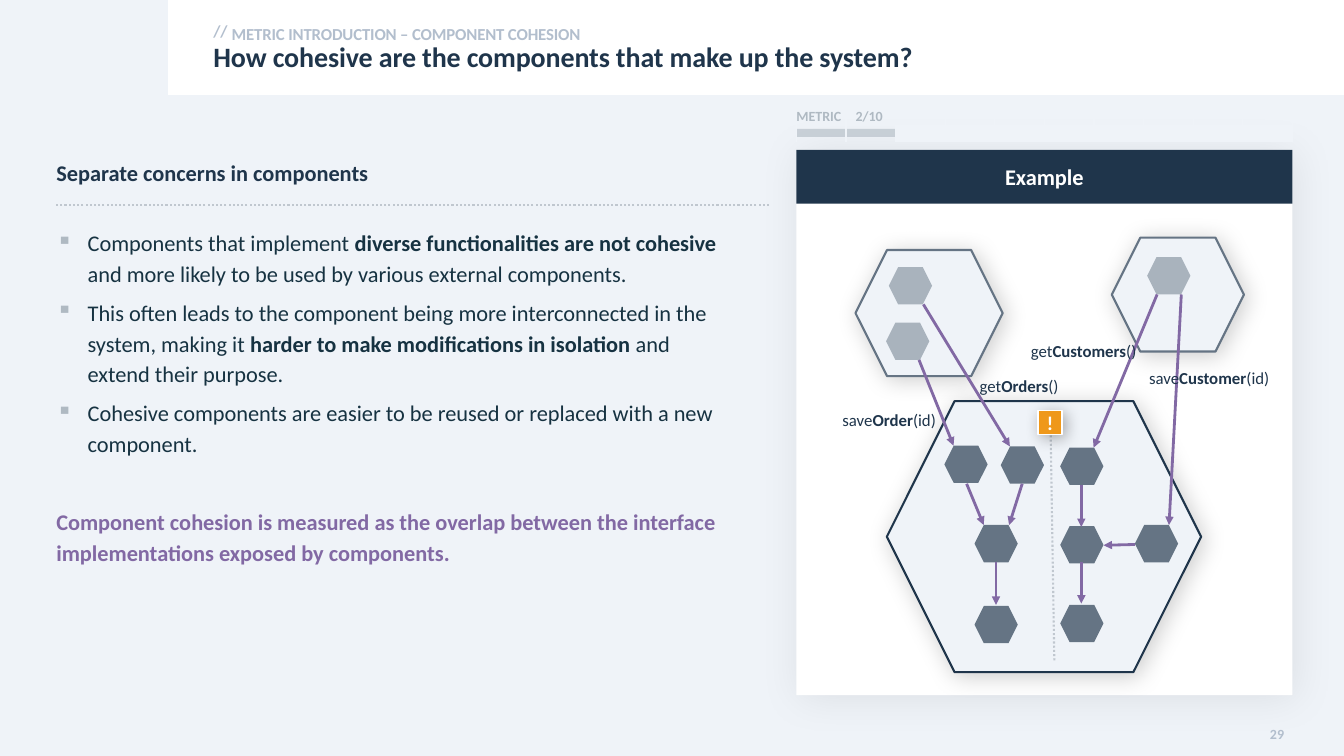
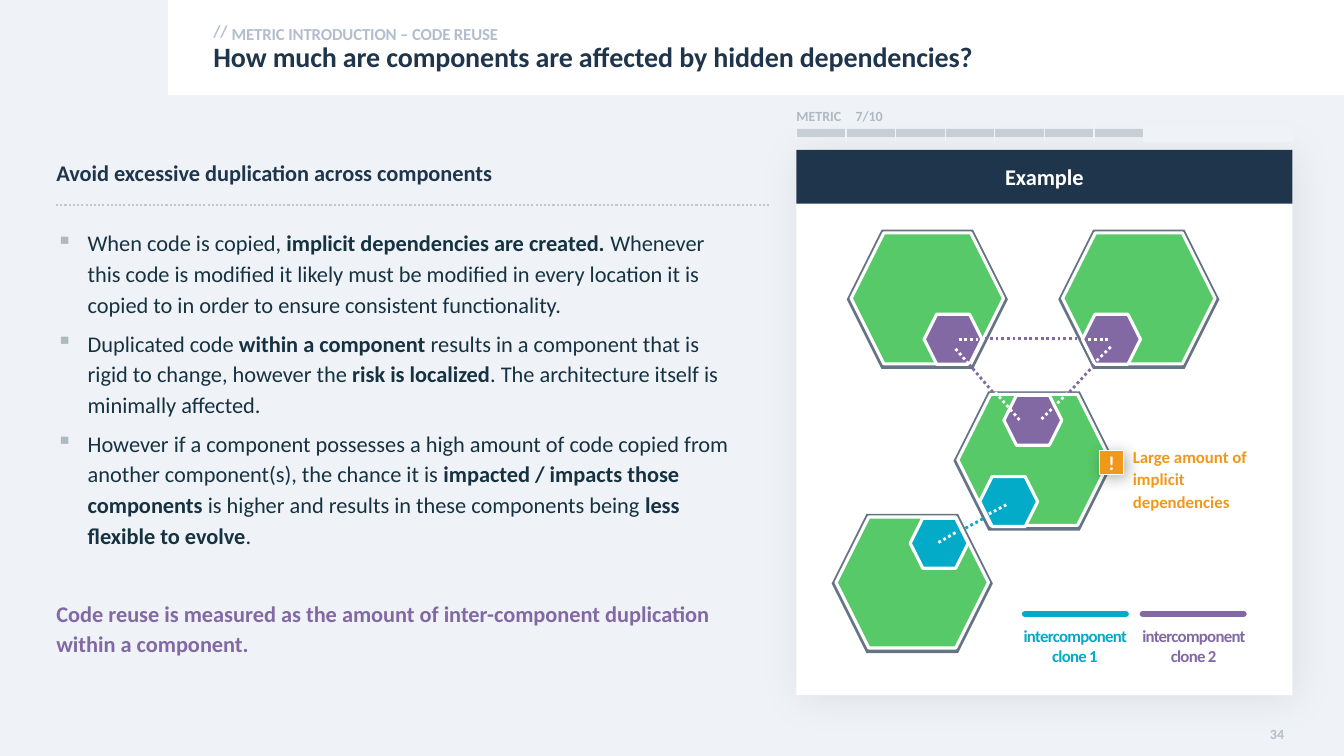
from lxml import etree
from pptx import Presentation
from pptx.dml.color import RGBColor
from pptx.enum.dml import MSO_LINE
from pptx.enum.shapes import MSO_CONNECTOR, MSO_SHAPE
from pptx.enum.text import PP_ALIGN
from pptx.oxml.ns import qn
from pptx.util import Cm, Pt

HEXAGON, RECTANGLE = MSO_SHAPE.HEXAGON, MSO_SHAPE.RECTANGLE
STRAIGHT, DOTTED = MSO_CONNECTOR.STRAIGHT, MSO_LINE.ROUND_DOT
LEFT, CENTER, RIGHT = PP_ALIGN.LEFT, PP_ALIGN.CENTER, PP_ALIGN.RIGHT

FONT = "Calibri"
HEX = {
    "page": "EFF3F8", "white": "FFFFFF", "navy": "1F354B", "ink": "163241",
    "pale": "B2BECD", "grey": "AFB9C2", "rule": "C0C7CF", "slate": "657484",
    "purple": "8269A4", "teal": "04ABC8", "green": "57C968",
    "orange": "EF981A", "black": "000000",
}
COLORS = {name: RGBColor.from_string(value) for name, value in HEX.items()}

CARD_LEFT, CARD_TOP, CARD_WIDTH = 20.07, 3.78, 12.5
STEPS = 10
CARD_SHADOW, HEXAGON_SHADOW, BADGE_SHADOW = (7, 30), (20, 17), (30, 11)


def write(frame, text, size=16, color="navy", bold=False, align=LEFT,
          spacing=1, before=0, after=0, track=0, bullet=False):
    frame.margin_left = frame.margin_top = 0
    frame.margin_right = frame.margin_bottom = 0
    frame.word_wrap = True
    paragraph = frame.add_paragraph() if frame.text else frame.paragraphs[0]
    if bullet:
        properties = paragraph._p.get_or_add_pPr()
        properties.set("marL", str(Cm(0.79)))
        properties.set("indent", str(-Cm(0.79)))
        tint = etree.SubElement(properties, qn("a:buClr"))
        etree.SubElement(tint, qn("a:srgbClr"), val=HEX["grey"])
        etree.SubElement(properties, qn("a:buChar"), char="▪")
    paragraph.alignment = align
    paragraph.line_spacing = spacing
    paragraph.space_before, paragraph.space_after = Pt(before), Pt(after)
    for index, part in enumerate(text.split("*")):
        if part:
            run = paragraph.add_run()
            run.text = part
            run.font.name, run.font.size = FONT, Pt(size)
            run.font.bold = bold or index % 2 == 1
            run.font.color.rgb = COLORS[color]
            if track:
                run._r.get_or_add_rPr().set("spc", str(round(track * 100)))


def draw(slide, kind, place, fill, line=None, weight=1.5, opacity=100, shadow=None):
    shape = slide.shapes.add_shape(kind, *map(Cm, place))
    shape.fill.solid()
    shape.fill.fore_color.rgb = COLORS[fill]
    properties = shape._element.spPr
    if opacity < 100:
        tint = properties.find(qn("a:solidFill"))[0]
        etree.SubElement(tint, qn("a:alpha"), val=str(opacity * 1000))
    if line:
        shape.line.color.rgb = COLORS[line]
        shape.line.width = Pt(weight)
    else:
        shape.line.fill.background()
    shape.shadow.inherit = False
    if shadow:
        strength, blur = shadow
        outer = etree.SubElement(
            properties.find(qn("a:effectLst")), qn("a:outerShdw"),
            blurRad=str(Pt(blur)), dist=str(Pt(3)), dir="2700000",
            algn="tl", rotWithShape="0")
        tint = etree.SubElement(outer, qn("a:srgbClr"), val=HEX["black"])
        etree.SubElement(tint, qn("a:alpha"), val=str(strength * 1000))
    return shape


system = dict(fill="page", line="slate", shadow=HEXAGON_SHADOW)
caller = dict(fill="slate", opacity=50)
module = dict(fill="slate")
cohesion_hexagons = [
    ((28.02, 5.99, 3.33, 2.87), system),
    ((21.56, 6.3, 3.71, 3.18), system),
    ((22.35, 10.11, 7.92, 6.83), {**system, "line": "navy"}),
]
for style, corners in (
    (module, [(23.8, 11.23), (25.22, 11.25), (24.56, 13.23), (24.56, 15.27),
              (28.6, 13.23), (26.72, 13.26), (26.72, 15.24), (26.72, 11.28)]),
    (caller, [(22.4, 6.73), (22.33, 8.13), (28.91, 6.48)]),
):
    cohesion_hexagons += [((*corner, 1.09, 0.94), style) for corner in corners]

reuse_hexagons = []
for left, top in [(21.34, 5.79), (26.67, 5.79), (24.03, 9.86), (20.96, 12.95)]:
    reuse_hexagons += [
        ((left, top, 4.06, 3.51), dict(fill="slate")),
        ((left + 0.11, top + 0.08, 3.84, 3.3),
         dict(fill="green", line="white", weight=2.25)),
    ]
for color, corners in (
    ("teal", [(24.69, 12.01), (22.94, 13.06)]),
    ("purple", [(23.29, 7.92), (27.28, 7.92), (25.3, 9.96)]),
):
    reuse_hexagons += [((*corner, 1.46, 1.26),
                        dict(fill=color, line="white", weight=2.25))
                       for corner in corners]

label = dict(size=12, spacing=1.13)
legend = dict(size=12, bold=True, align=CENTER, track=-0.5)
topics = [
    dict(
        number="29", step=2,
        section="METRIC INTRODUCTION – COMPONENT COHESION",
        title="How cohesive are the components that make up the system?",
        heading="Separate concerns in components",
        bullets=[
            "Components that implement *diverse functionalities are not cohesive* "
            "and more likely to be used by various external components.",
            "This often leads to the component being more interconnected in the "
            "system, making it *harder to make modifications in isolation* and "
            "extend their purpose.",
            "Cohesive components are easier to be reused or replaced with a new "
            "component.",
        ],
        summary="Component cohesion is measured as the overlap between the "
                "interface implementations exposed by components.",
        hexagons=cohesion_hexagons,
        links=[
            ("purple", 2, "arrow", [
                (24.36, 12.19, 24.79, 13.23), (25.1, 14.15, 25.1, 15.24),
                (25.76, 12.19, 25.43, 13.23), (23.16, 9.07, 24.03, 11.23),
                (23.27, 7.67, 25.45, 11.25), (27.25, 14.17, 27.25, 15.21),
                (27.25, 12.22, 27.25, 13.28), (28.6, 13.72, 27.81, 13.74),
                (29.16, 7.42, 27.56, 11.28), (29.77, 7.42, 29.46, 13.23)]),
            ("rule", 1.5, "dots", [(26.47, 10.44, 26.57, 16.64)]),
        ],
        badge=(26.16, 10.34),
        labels=[
            ("get*Orders*()", (24.69, 9.4, 3.2, 0.56), label),
            ("save*Order*(id)", (21.23, 10.26, 3.2, 0.56), label),
            ("get*Customers*()", (25.98, 8.51, 3.2, 0.56), label),
            ("save*Customer*(id)", (28.96, 9.19, 3.2, 0.56), label),
        ],
    ),
    dict(
        number="34", step=7,
        section="METRIC INTRODUCTION – CODE REUSE",
        title="How much are components are affected by hidden dependencies?",
        heading="Avoid excessive duplication across components",
        bullets=[
            "When code is copied, *implicit dependencies are created.* Whenever "
            "this code is modified it likely must be modified in every location "
            "it is copied to in order to ensure consistent functionality.",
            "Duplicated code *within a component* results in a component that is "
            "rigid to change, however the *risk is localized*. The architecture "
            "itself is minimally affected.",
            "However if a component possesses a high amount of code copied from "
            "another component(s), the chance it is *impacted / impacts those "
            "components* is higher and results in these components being *less "
            "flexible to evolve*.",
        ],
        summary="Code reuse is measured as the amount of inter-component "
                "duplication within a component.",
        hexagons=reuse_hexagons,
        links=[
            ("white", 2, "dots", [
                (23.65, 13.67, 24.1, 13.41), (24.92, 12.95, 25.4, 12.7),
                (24.08, 8.79, 24.43, 9.19), (24.99, 9.78, 25.7, 10.59),
                (26.9, 9.91, 26.24, 10.57), (27.99, 8.74, 27.61, 9.12),
                (24.16, 8.56, 24.69, 8.56), (27.43, 8.56, 27.97, 8.56)]),
            ("teal", 2, "dots", [(24.33, 13.31, 24.79, 13.06)]),
            ("purple", 2, "dots", [
                (25.02, 9.88, 24.43, 9.19), (26.95, 9.88, 27.58, 9.19),
                (27.15, 8.53, 24.82, 8.53)]),
            ("teal", 4.5, "key", [(25.83, 15.47, 28.37, 15.47)]),
            ("purple", 4.5, "key", [(28.8, 15.47, 31.34, 15.47)]),
        ],
        badge=(27.71, 11.35),
        labels=[
            ("Large amount of implicit dependencies", (28.55, 11.18, 3.6, 1.7),
             dict(label, color="orange", bold=True)),
            ("intercomponent clone 1", (25.53, 15.77, 3.12, 1.24),
             dict(legend, color="teal")),
            ("intercomponent clone 2", (28.52, 15.77, 3.12, 1.24),
             dict(legend, color="purple")),
        ],
    ),
]

prs = Presentation()
prs.slide_width, prs.slide_height = Cm(33.87), Cm(19.05)
backdrop = prs.slide_master.background.fill
backdrop.solid()
backdrop.fore_color.rgb = COLORS["page"]

for topic in topics:
    slide = prs.slides.add_slide(prs.slide_layouts[6])
    draw(slide, RECTANGLE, (4.24, 0, 29.63, 2.39), "white")
    draw(slide, RECTANGLE, (CARD_LEFT, CARD_TOP, CARD_WIDTH, 13.74), "white",
         shadow=CARD_SHADOW)
    header = draw(slide, RECTANGLE, (CARD_LEFT, CARD_TOP, CARD_WIDTH, 1.35), "navy")
    write(header.text_frame, "Example", color="white", bold=True, align=CENTER)
    draw(slide, RECTANGLE, (CARD_LEFT, 3.25, CARD_WIDTH, 0.2), "grey", opacity=60)

    for place, style in topic["hexagons"]:
        draw(slide, HEXAGON, place, **style)

    divider = ("rule", 1.5, "dots", [(19.38, 5.16, 1.42, 5.16)])
    for color, weight, style, routes in [divider] + topic["links"]:
        for route in routes:
            link = slide.shapes.add_connector(STRAIGHT, *map(Cm, route))
            link.line.color.rgb = COLORS[color]
            link.line.width = Pt(weight)
            properties = link._element.spPr
            stroke = properties.find(qn("a:ln"))
            if style == "dots":
                link.line.dash_style = DOTTED
            elif style == "arrow":
                etree.SubElement(stroke, qn("a:tailEnd"), type="triangle")
            else:
                stroke.set("cap", "rnd")
            etree.SubElement(properties, qn("a:effectLst"))

    badge = draw(slide, RECTANGLE, (*topic["badge"], 0.61, 0.61), "orange",
                 line="white", weight=1, shadow=BADGE_SHADOW)
    write(badge.text_frame, "!", size=14, color="white", bold=True, align=CENTER)

    kicker = dict(size=12, color="pale", bold=True, track=-0.1)
    captions = [
        ("//", (5.38, 0.53, 0.5, 0.51), kicker),
        (topic["section"], (5.84, 0.53, 26.5, 0.56), dict(kicker, spacing=1.14)),
        (topic["title"], (5.38, 1.09, 27.25, 0.79),
         dict(size=20, bold=True, spacing=0.9, track=-0.1)),
        (topic["heading"], (1.42, 3.91, 18, 1.1), dict(bold=True, spacing=1.14)),
        (topic["number"], (31.36, 18.29, 1, 0.42),
         dict(size=10, color="pale", bold=True, align=RIGHT, track=0.1)),
    ]
    for text, place, style in captions + topic["labels"]:
        caption = slide.shapes.add_textbox(*map(Cm, place))
        write(caption.text_frame, text, **style)

    body = slide.shapes.add_textbox(Cm(1.42), Cm(5.69), Cm(17.07), Cm(10.8))
    for text in topic["bullets"]:
        write(body.text_frame, text, color="ink", spacing=1.14, after=6, bullet=True)
    write(body.text_frame, topic["summary"], color="purple", bold=True,
          spacing=1.14, before=28, after=6)

    progress = slide.shapes.add_table(
        2, STEPS, Cm(CARD_LEFT), Cm(2.72), Cm(CARD_WIDTH), Cm(0.86)).table
    progress.first_row = progress.horz_banding = False
    style_id = progress._tbl.tblPr.find(qn("a:tableStyleId"))
    style_id.text = "{2D5ABB26-0587-4C30-8999-92F81FD0307C}"
    entries = {(0, 0): "METRIC", (0, 1): f"{topic['step']}/{STEPS}"}
    for row in range(2):
        progress.rows[row].height = Cm(0.43)
        for column in range(STEPS):
            cell = progress.cell(row, column)
            cell.margin_left = cell.margin_right = 0
            cell.margin_top = cell.margin_bottom = 0
            if row == 1 and column >= topic["step"]:
                cell.fill.solid()
                cell.fill.fore_color.rgb = COLORS["page"]
            else:
                cell.fill.background()
            for position, side in enumerate(("a:lnL", "a:lnR")):
                border = etree.Element(qn(side), w=str(Pt(1)))
                paint = etree.SubElement(border, qn("a:solidFill"))
                etree.SubElement(paint, qn("a:srgbClr"), val=HEX["page"])
                cell._tc.tcPr.insert(position, border)
            if (row, column) in entries:
                write(cell.text_frame, entries[row, column], size=10,
                      color="grey", bold=True)
            else:
                etree.SubElement(cell.text_frame.paragraphs[0]._p,
                                 qn("a:endParaRPr"), sz="1000")
    progress.cell(0, 1).margin_left = Cm(0.24)
    progress.cell(0, 1).merge(progress.cell(0, 2))

prs.save("out.pptx")
